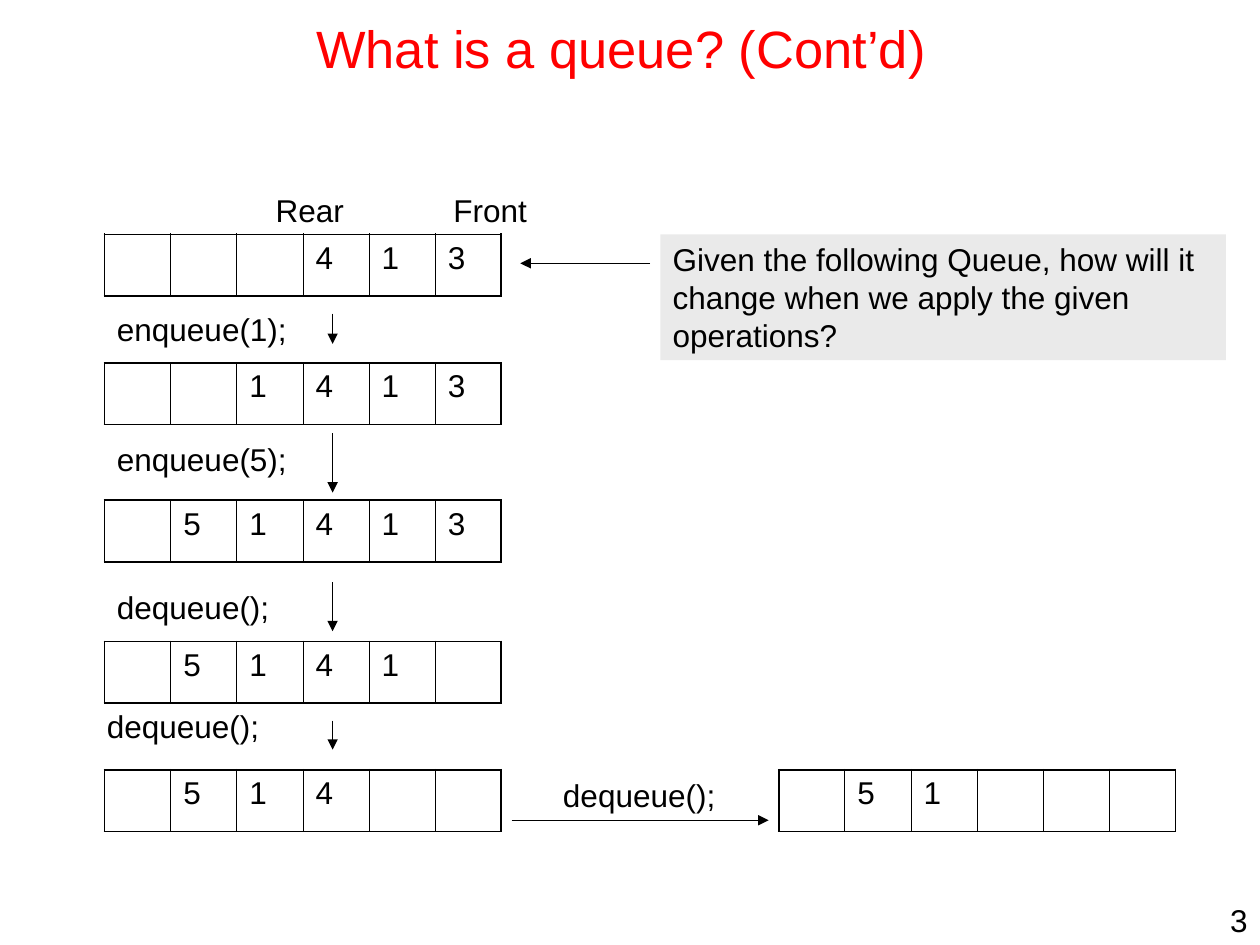
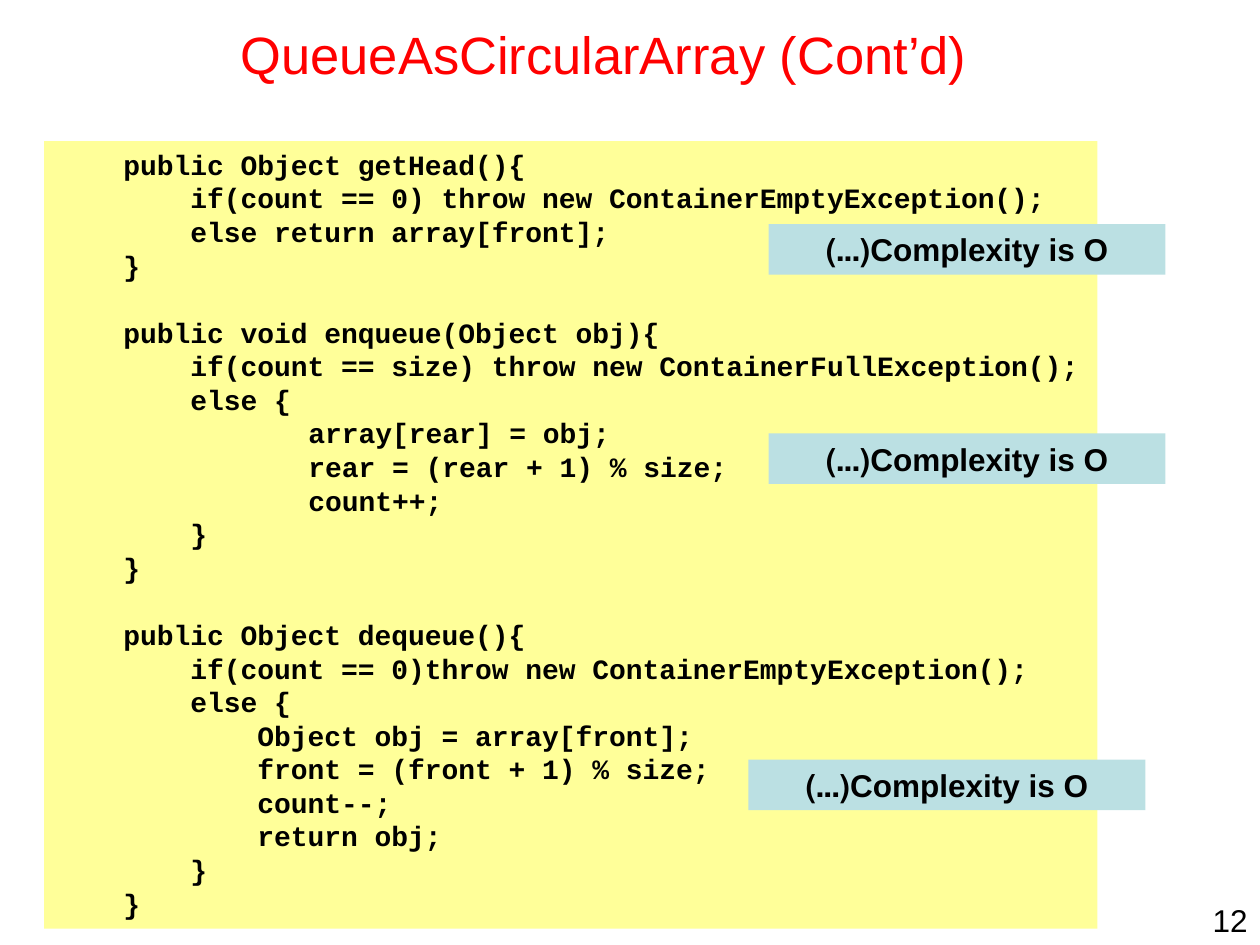
from dataclasses import dataclass
from typing import Any, NamedTuple

from pptx import Presentation
from pptx.dml.color import RGBColor
from pptx.enum.shapes import MSO_CONNECTOR, MSO_SHAPE
from pptx.enum.text import MSO_ANCHOR, MSO_AUTO_SIZE, PP_ALIGN
from pptx.oxml.xmlchemy import OxmlElement
from pptx.util import Inches, Pt

SLIDE_WIDTH, SLIDE_HEIGHT = Inches(10), Inches(7.5)
COLUMNS, ROWS = 100, 75

BLACK, RED = "000000", "FF0000"
NOTE_GRAY, CODE_YELLOW, BADGE_BLUE = "EAEAEA", "FFFF99", "BBE0E3"

BODY_FONT = {"name": "Arial", "size": Pt(18), "bold": False}
TITLE_FONT = BODY_FONT | {"size": Pt(30)}
BADGE_FONT = BODY_FONT | {"bold": True}
CODE_FONT = {"name": "Courier New", "size": Pt(16), "bold": True}

LEFT = {"alignment": PP_ALIGN.LEFT}
CENTER = {"alignment": PP_ALIGN.CENTER}
RIGHT = {"alignment": PP_ALIGN.RIGHT}
CODE_LINE = Pt(19.2)

FRAME = {
    "word_wrap": True,
    "auto_size": MSO_AUTO_SIZE.NONE,
    "vertical_anchor": MSO_ANCHOR.TOP,
    "margin_left": Inches(0.1),
    "margin_right": Inches(0.1),
    "margin_top": Inches(0.05),
    "margin_bottom": Inches(0.05),
}


class Box(NamedTuple):
    left: float
    top: float
    width: float
    height: float


class Arrow(NamedTuple):
    start_x: float
    start_y: float
    end_x: float
    end_y: float


@dataclass(frozen=True)
class Label:
    text: str
    left: float
    top: float
    width: float = 15.7
    height: float = 4


@dataclass(frozen=True)
class Queue:
    cells: str
    left: float
    top: float
    width: float = 31.5
    height: float = 4.9


NUMBER_BOX = Box(94.5, 71, 5.5, 4)
QUEUE_LEFT = 8.3
ARROW_X = 26.4

QUEUES = (
    Queue("   413", QUEUE_LEFT, 18.6),
    Queue("  1413", QUEUE_LEFT, 28.8),
    Queue(" 51413", QUEUE_LEFT, 39.7),
    Queue(" 5141 ", QUEUE_LEFT, 50.9),
    Queue(" 514  ", QUEUE_LEFT, 61.1),
    Queue(" 51   ", 61.8, 61.1),
)
LABELS = (
    Label("Rear", 20.9, 14.7, 8.7),
    Label("Front", 35, 14.7, 8.7),
    Label("enqueue(1);", QUEUE_LEFT, 24.1),
    Label("enqueue(5);", QUEUE_LEFT, 34.4),
    Label("dequeue();", QUEUE_LEFT, 46.2),
    Label("dequeue();", 7.5, 55.6),
    Label("dequeue();", 43.7, 61.1),
)
STEP_ARROWS = ((24.9, 27.3), (34.4, 39.1), (46.2, 50.1), (57.2, 59.5))
ARROWS = (
    Arrow(51.6, 20.9, 41.3, 20.9),
    Arrow(40.6, 65.1, 61, 65.1),
    *(Arrow(ARROW_X, start, ARROW_X, end) for start, end in STEP_ARROWS),
)
BADGE_PLACES = ((61, 17.8), (61, 34.4), (59.4, 60.3))

METHODS = (
    """    public Object getHead(){
        if(count == 0) throw new ContainerEmptyException();
        else return array[front];
    }""",
    """    public void enqueue(Object obj){
        if(count == size) throw new ContainerFullException();
        else {
        \tarray[rear] = obj;
        \trear = (rear + 1) % size;
        \tcount++;
        }
    }""",
    """    public Object dequeue(){
        if(count == 0)throw new ContainerEmptyException();
        else {
            Object obj = array[front];
            front = (front + 1) % size;
            count--;
            return obj;
        }
    }""",
)


def color(value: str) -> RGBColor:
    return RGBColor.from_string(value)


def horizontal(columns: float) -> int:
    return round(SLIDE_WIDTH * columns / COLUMNS)


def vertical(rows: float) -> int:
    return round(SLIDE_HEIGHT * rows / ROWS)


def place(box: Any) -> tuple[int, int, int, int]:
    return (horizontal(box.left), vertical(box.top),
            horizontal(box.width), vertical(box.height))


def set_format(target: Any, values: dict[str, Any]) -> None:
    for name, value in values.items():
        setattr(target, name, value)


def element(tag: str, **attributes: str) -> Any:
    node = OxmlElement(tag)
    for name, value in attributes.items():
        node.set(name, value)
    return node


def write(paragraph: Any, text: str, font: dict[str, Any],
          layout: dict[str, Any] = LEFT, text_color: str = BLACK) -> None:
    set_format(paragraph, layout)
    run = paragraph.add_run()
    run.text = text
    set_format(run.font, font)
    run.font.color.rgb = color(text_color)


def add_text(slide: Any, box: Any, text: str, layout: dict[str, Any] = LEFT) -> None:
    frame = slide.shapes.add_textbox(*place(box)).text_frame
    set_format(frame, FRAME)
    write(frame.paragraphs[0], text, BODY_FONT, layout)


def add_panel(slide: Any, box: Box, fill: str) -> Any:
    panel = slide.shapes.add_shape(MSO_SHAPE.RECTANGLE, *place(box))
    panel.shadow.inherit = False
    panel.fill.solid()
    panel.fill.fore_color.rgb = color(fill)
    panel.line.fill.background()
    set_format(panel.text_frame, FRAME)
    return panel.text_frame


def add_arrow(slide: Any, arrow: Arrow) -> None:
    connector = slide.shapes.add_connector(
        MSO_CONNECTOR.STRAIGHT,
        horizontal(arrow.start_x), vertical(arrow.start_y),
        horizontal(arrow.end_x), vertical(arrow.end_y))
    connector.line.color.rgb = color(BLACK)
    connector.line.width = Pt(0.75)
    connector.line._get_or_add_ln().append(element("a:tailEnd", type="triangle"))
    connector._element.spPr.append(element("a:effectLst"))


def set_borders(cell: Any, first: bool, last: bool) -> None:
    thin, thick = Pt(0.45), Pt(1.08)
    widths = {
        "a:lnL": thick if first else thin,
        "a:lnR": thick if last else thin,
        "a:lnT": thick,
        "a:lnB": thick,
    }
    properties = cell._tc.get_or_add_tcPr()
    for tag, width in widths.items():
        border = element(tag, w=str(int(width)))
        fill = element("a:solidFill")
        fill.append(element("a:srgbClr", val=BLACK))
        border.append(fill)
        properties.append(border)


def add_queue(slide: Any, queue: Queue) -> None:
    count = len(queue.cells)
    table = slide.shapes.add_table(1, count, *place(queue)).table
    set_format(table, {"first_row": False, "horz_banding": False})
    for index, value in enumerate(queue.cells):
        table.columns[index].width = horizontal(queue.width / count)
        cell = table.cell(0, index)
        set_borders(cell, index == 0, index == count - 1)
        cell.fill.background()
        if value.strip():
            write(cell.text_frame.paragraphs[0], value, BODY_FONT)


def add_code(slide: Any, box: Box) -> None:
    frame = add_panel(slide, box, CODE_YELLOW)
    paragraph = frame.paragraphs[0]
    for method_index, method in enumerate(METHODS):
        for line_index, line in enumerate(method.splitlines()):
            if method_index or line_index:
                paragraph = frame.add_paragraph()
            layout = LEFT | {"line_spacing": CODE_LINE}
            if method_index and line_index == 0:
                layout["space_before"] = CODE_LINE
            if "\t" in line:
                tabs = element("a:tabLst")
                tabs.append(element("a:tab", pos=str(int(Inches(2))), algn="l"))
                paragraph._p.get_or_add_pPr().append(tabs)
            write(paragraph, line, CODE_FONT, layout)


def add_badge(slide: Any, left: float, top: float) -> None:
    frame = add_panel(slide, Box(left, top, 31.5, 4), BADGE_BLUE)
    paragraph = frame.paragraphs[0]
    paragraph._p.get_or_add_pPr().set("rtl", "1")
    write(paragraph, "Complexity is O(...)", BADGE_FONT, CENTER)


def add_slide(presentation: Any, title: str, title_box: Box, number: int) -> Any:
    slide = presentation.slides.add_slide(presentation.slide_layouts[5])
    shape = slide.shapes.title
    shape.left, shape.top, shape.width, shape.height = place(title_box)
    set_format(shape.text_frame, FRAME | {"vertical_anchor": MSO_ANCHOR.MIDDLE})
    write(shape.text_frame.paragraphs[0], title, TITLE_FONT, CENTER, RED)
    add_text(slide, NUMBER_BOX, str(number), RIGHT)
    return slide


def build_queue_slide(presentation: Any) -> None:
    slide = add_slide(presentation, "What is a queue? (Cont’d)", Box(4.3, 0, 90, 7.6), 3)
    for queue in QUEUES:
        add_queue(slide, queue)
    for label in LABELS:
        add_text(slide, label, label.text)
    note = add_panel(slide, Box(52.4, 18.6, 44.9, 10), NOTE_GRAY)
    write(note.paragraphs[0],
          "Given the following Queue, how will it change when we apply the given operations?",
          BODY_FONT)
    for arrow in ARROWS:
        add_arrow(slide, arrow)


def build_code_slide(presentation: Any) -> None:
    slide = add_slide(presentation, "QueueAsCircularArray (Cont’d) ", Box(3.5, 0, 90, 8.5), 12)
    add_code(slide, Box(3.5, 11.2, 83.6, 62.5))
    for left, top in BADGE_PLACES:
        add_badge(slide, left, top)


def main() -> None:
    presentation = Presentation()
    set_format(presentation, {"slide_width": SLIDE_WIDTH, "slide_height": SLIDE_HEIGHT})
    build_queue_slide(presentation)
    build_code_slide(presentation)
    presentation.save("out.pptx")


if __name__ == "__main__":
    main()
